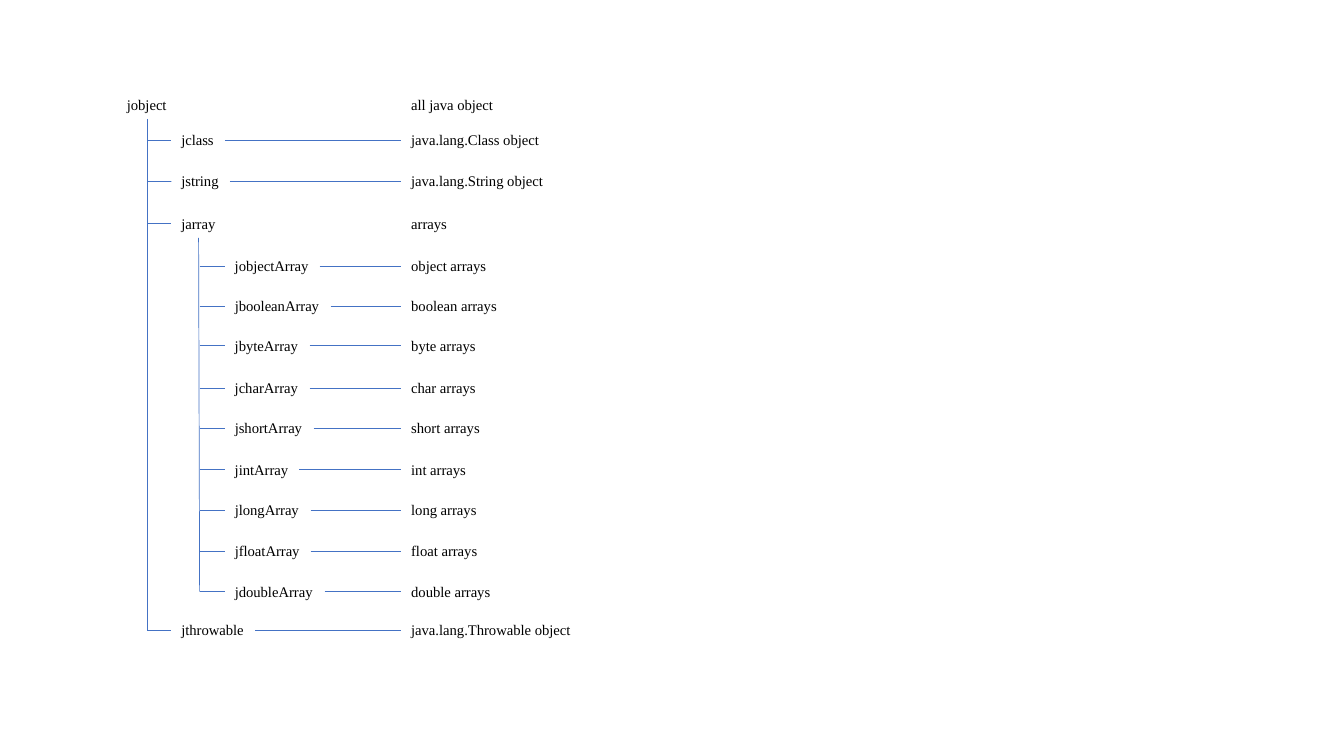
from lxml.etree import SubElement
from pptx import Presentation
from pptx.dml.color import RGBColor
from pptx.enum.shapes import MSO_CONNECTOR
from pptx.enum.text import MSO_AUTO_SIZE
from pptx.oxml.ns import qn
from pptx.util import Inches, Pt

BLACK = RGBColor(0x00, 0x00, 0x00)
BLUE = RGBColor(0x44, 0x72, 0xC4)
TOP, LEFT, BOTTOM, RIGHT = range(4)  # connection sites of a rectangle

LABEL_HEIGHT = 0.28
LEVEL_LEFT = [1.16, 1.7, 2.23]  # left edge of each level of the tree
TRUNK_X = [1.46, 1.98]  # vertical line below jobject and below jarray
MEANING_LEFT = 3.98

# type name, level, top, width, meaning, width of meaning
TYPES = [
    ("jobject", 0, 0.9, 0.6, "all java object", 1.06),
    ("jclass", 1, 1.25, 0.53, "java.lang.Class object", 1.49),
    ("jstring", 1, 1.66, 0.58, "java.lang.String object", 1.53),
    ("jarray", 1, 2.08, 0.54, "arrays", 0.56),
    ("jobjectArray", 2, 2.5, 0.94, "object arrays", 0.96),
    ("jbooleanArray", 2, 2.9, 1.05, "boolean arrays", 1.06),
    ("jbyteArray", 2, 3.29, 0.84, "byte arrays", 0.85),
    ("jcharArray", 2, 3.71, 0.84, "char arrays", 0.85),
    ("jshortArray", 2, 4.11, 0.88, "short arrays", 0.89),
    ("jintArray", 2, 4.52, 0.74, "int arrays", 0.75),
    ("jlongArray", 2, 4.92, 0.85, "long arrays", 0.86),
    ("jfloatArray", 2, 5.33, 0.85, "float arrays", 0.87),
    ("jdoubleArray", 2, 5.73, 0.99, "double arrays", 1.0),
    ("jthrowable", 1, 6.11, 0.83, "java.lang.Throwable object", 1.8),
]
PARENTS = ["jobject", "jarray"]  # these have no line to their meaning

presentation = Presentation()
presentation.slide_width = Inches(13.33)
presentation.slide_height = Inches(7.5)
slide = presentation.slides.add_slide(presentation.slide_layouts[6])


def add_label(text, left, top, width, font="Times New Roman", size=10.5, color=BLACK):
    label = slide.shapes.add_textbox(
        Inches(left), Inches(top), Inches(width), Inches(LABEL_HEIGHT))
    label.text_frame.word_wrap = False
    label.text_frame.auto_size = MSO_AUTO_SIZE.SHAPE_TO_FIT_TEXT
    run = label.text_frame.paragraphs[0].add_run()
    run.text = text
    run.font.name = font
    run.font.size = Pt(size)
    run.font.color.rgb = color
    return label


def add_line(start_x, start_y, end_x, end_y):
    line = slide.shapes.add_connector(
        MSO_CONNECTOR.STRAIGHT, Inches(start_x), Inches(start_y),
        Inches(end_x), Inches(end_y))
    line.line.color.rgb = BLUE
    line.line.width = Pt(0.5)
    SubElement(line._element.spPr, qn("a:effectLst"))
    return line


# Labels, branches and lines to the meanings
name_labels = {}
middles = {}
for name, level, top, width, meaning, meaning_width in TYPES:
    left = LEVEL_LEFT[level]
    middle = top + LABEL_HEIGHT / 2
    name_label = add_label(name, left, top, width)
    meaning_label = add_label(meaning, MEANING_LEFT, top, meaning_width)
    name_labels[name] = name_label
    middles[name] = middle
    if level > 0:
        branch = add_line(TRUNK_X[level - 1], middle, left, middle)
        branch.end_connect(name_label, LEFT)
    if name not in PARENTS:
        link = add_line(left + width, middle, MEANING_LEFT, middle)
        link.begin_connect(name_label, RIGHT)
        link.end_connect(meaning_label, LEFT)

# Trunks: the one below jobject is in two parts that meet at jarray
for parent, trunk_x, first, last in [
    ("jobject", TRUNK_X[0], None, "jarray"),
    (None, TRUNK_X[0], "jarray", "jthrowable"),
    ("jarray", TRUNK_X[1], None, "jdoubleArray"),
]:
    start_y = middles[parent] + LABEL_HEIGHT / 2 if parent else middles[first]
    trunk = add_line(trunk_x, start_y, trunk_x, middles[last])
    if parent:
        trunk.begin_connect(name_labels[parent], BOTTOM)

presentation.save("out.pptx")
